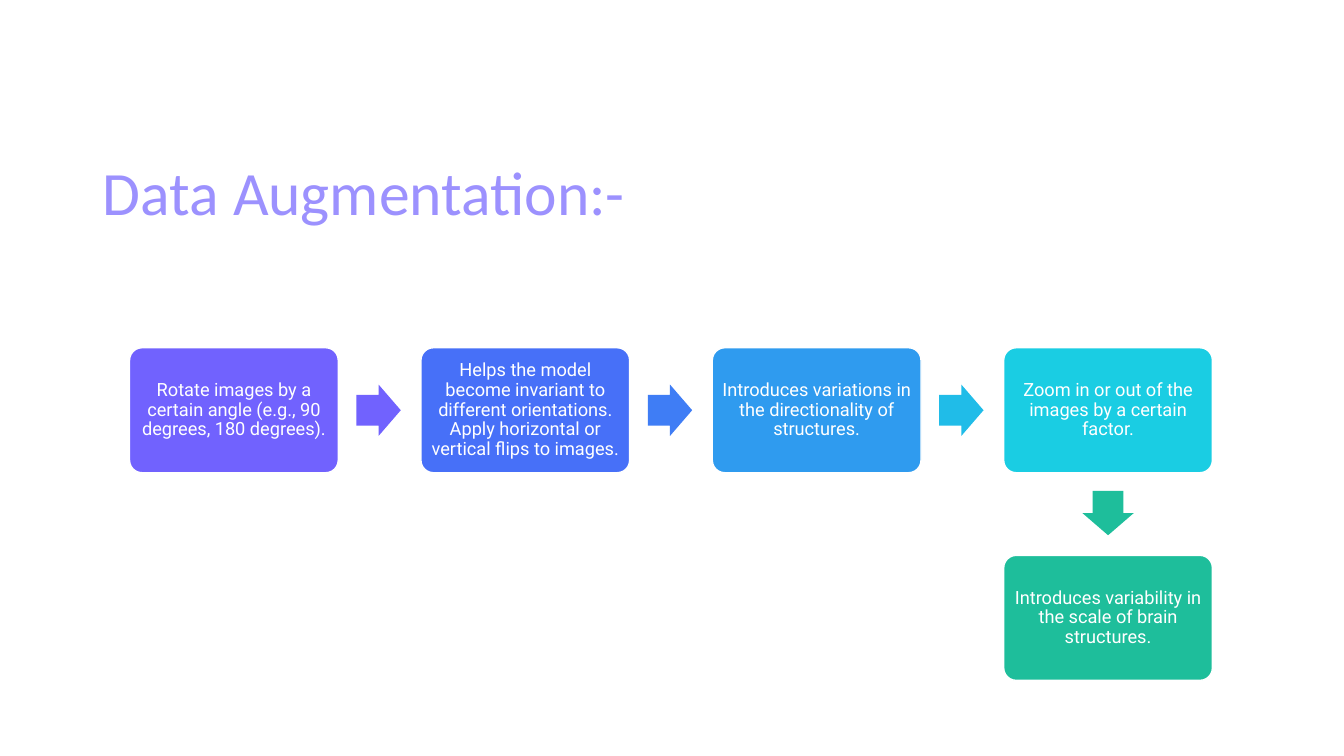
from dataclasses import dataclass
from typing import Optional

from pptx import Presentation
from pptx import util as u
from pptx.dml.color import RGBColor
from pptx.enum import shapes, text

WHITE = RGBColor(0xFF, 0xFF, 0xFF)
LAVENDER = RGBColor(0x9C, 0x91, 0xFE)
VIOLET = RGBColor(0x71, 0x62, 0xFE)
BLUE = RGBColor(0x47, 0x70, 0xF8)
MID_BLUE = RGBColor(0x3F, 0x7D, 0xF5)
SKY = RGBColor(0x2F, 0x9B, 0xEF)
LIGHT_SKY = RGBColor(0x20, 0xBC, 0xE8)
CYAN = RGBColor(0x1A, 0xCD, 0xE3)
GREEN = RGBColor(0x1E, 0xBE, 0x9B)

# Grid of steps, in inches: centre of the first cell and distance between cells
FIRST_X, FIRST_Y = 2.32, 4.07
COLUMN_PITCH, ROW_PITCH = 2.89, 2.06
BOX_WIDTH, BOX_HEIGHT = 2.07, 1.24
ARROW_LENGTH, ARROW_BREADTH = 0.44, 0.51
ARROW_PULL = 0.01  # arrows sit slightly nearer the step they leave


@dataclass(frozen=True)
class Step:
    column: int
    row: int
    wording: str
    fill: RGBColor
    arrow_fill: Optional[RGBColor] = None


STEPS = [
    Step(0, 0, "Rotate images by a certain angle (e.g., 90 degrees, 180 degrees).",
         VIOLET, VIOLET),
    Step(1, 0, "Helps the model become invariant to different orientations. "
         "Apply horizontal or vertical flips to images.", BLUE, MID_BLUE),
    Step(2, 0, "Introduces variations in the directionality of structures.",
         SKY, LIGHT_SKY),
    Step(3, 0, "Zoom in or out of the images by a certain factor.", CYAN, GREEN),
    Step(3, 1, "Introduces variability in the scale of brain structures.", GREEN),
]


def write_text(shape, wording: str, *, font: str, size: float, color: RGBColor,
               align: text.PP_ALIGN, inset_x: float, inset_y: float) -> None:
    frame = shape.text_frame
    frame.word_wrap = True
    frame.auto_size = text.MSO_AUTO_SIZE.NONE
    frame.vertical_anchor = text.MSO_ANCHOR.MIDDLE
    frame.margin_left = frame.margin_right = u.Inches(inset_x)
    frame.margin_top = frame.margin_bottom = u.Inches(inset_y)
    paragraph = frame.paragraphs[0]
    paragraph.alignment = align
    paragraph.line_spacing = 0.9
    run = paragraph.add_run()
    run.text = wording
    run.font.name = font
    run.font.size = u.Pt(size)
    run.font.color.rgb = color


def add_centred_shape(slide, kind: shapes.MSO_SHAPE, x: float, y: float,
                      width: float, height: float, fill: RGBColor):
    """Add a plain filled shape whose centre is at x, y."""
    shape = slide.shapes.add_shape(
        kind, u.Inches(x - width / 2), u.Inches(y - height / 2),
        u.Inches(width), u.Inches(height))
    shape.shadow.inherit = False
    shape.fill.solid()
    shape.fill.fore_color.rgb = fill
    shape.line.fill.background()
    return shape


def cell_centre(column: float, row: float) -> tuple[float, float]:
    return FIRST_X + column * COLUMN_PITCH, FIRST_Y + row * ROW_PITCH


def add_step(slide, step: Step) -> None:
    x, y = cell_centre(step.column, step.row)
    box = add_centred_shape(slide, shapes.MSO_SHAPE.ROUNDED_RECTANGLE, x, y,
                            BOX_WIDTH, BOX_HEIGHT, step.fill)
    box.adjustments[0] = 0.1
    box.line.color.rgb = WHITE
    box.line.width = u.Pt(1)
    write_text(box, step.wording, font="Roboto", size=13, color=WHITE,
               align=text.PP_ALIGN.CENTER, inset_x=0.05, inset_y=0.05)


def add_arrow(slide, start: Step, end: Step) -> None:
    columns, rows = end.column - start.column, end.row - start.row
    x, y = cell_centre(start.column + columns / 2, start.row + rows / 2)
    arrow = add_centred_shape(slide, shapes.MSO_SHAPE.RIGHT_ARROW,
                              x - columns * ARROW_PULL, y - rows * ARROW_PULL,
                              ARROW_LENGTH, ARROW_BREADTH, start.arrow_fill)
    arrow.adjustments[0] = 0.6
    arrow.adjustments[1] = 0.5
    arrow.rotation = 90 * rows


def add_title(slide, wording: str) -> None:
    title = slide.shapes.title
    title.left, title.top = u.Inches(0.92), u.Inches(0.67)
    title.width, title.height = u.Inches(11.5), u.Inches(2.54)
    write_text(title, wording, font="Calibri", size=44, color=LAVENDER,
               align=text.PP_ALIGN.LEFT, inset_x=0.1, inset_y=0.05)


def main() -> None:
    presentation = Presentation()
    presentation.slide_width = u.Inches(13.33)
    presentation.slide_height = u.Inches(7.5)
    slide = presentation.slides.add_slide(presentation.slide_layouts[5])
    slide.background.fill.solid()
    slide.background.fill.fore_color.rgb = WHITE
    add_title(slide, "Data Augmentation:-")
    for step in STEPS:
        add_step(slide, step)
    for start, end in zip(STEPS, STEPS[1:]):
        add_arrow(slide, start, end)
    presentation.save("out.pptx")


if __name__ == "__main__":
    main()
